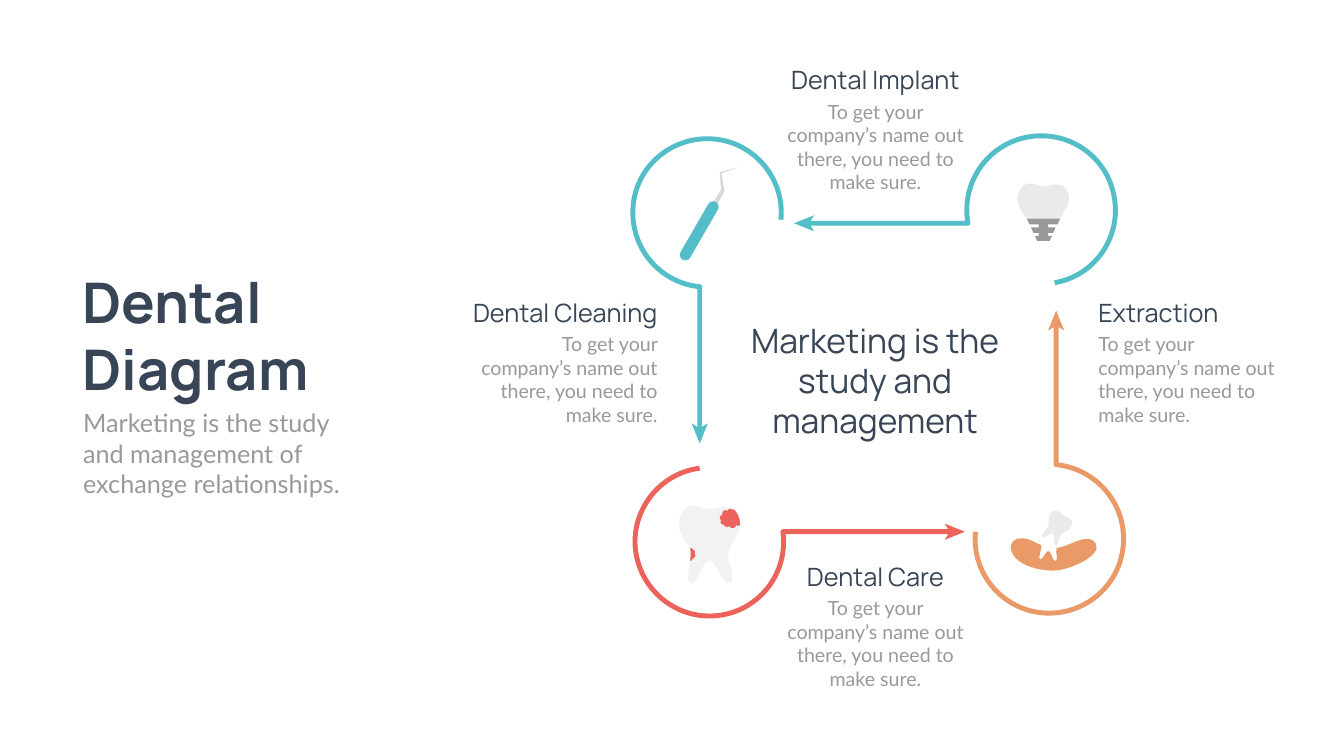
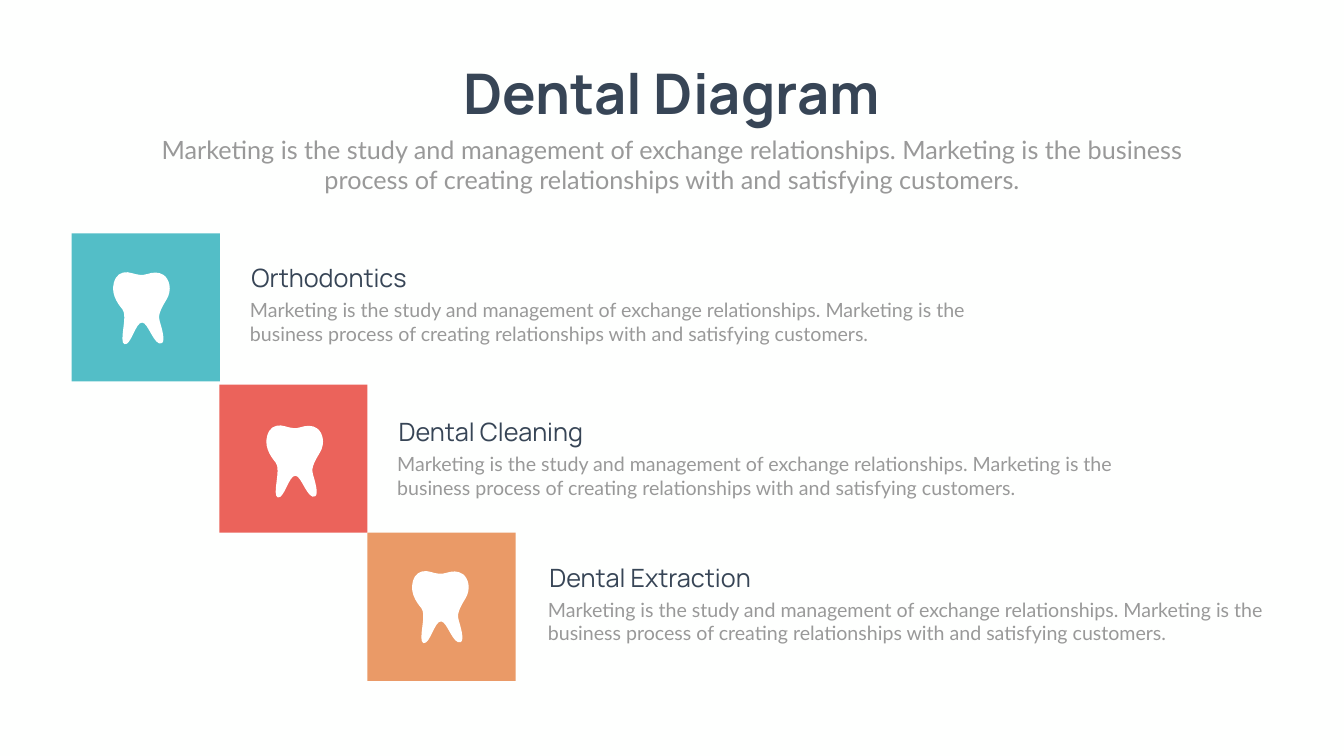
from pptx import Presentation
from pptx.dml.color import RGBColor
from pptx.enum.shapes import MSO_SHAPE as SHAPE
from pptx.enum.text import PP_ALIGN as ALIGN
from pptx.oxml.ns import qn
from pptx.util import Inches, Pt

TEAL, RED, ORANGE = "53BEC7", "EB635B", "EA9A67"
NAVY, GRAY, WHITE, PAPER = "374556", "999999", "FFFFFF", "FEFFFE"
HEADING_FONT, BODY_FONT = "Manrope", "Lato"

SHORT_TEXT = "To get your company’s name out there, you need to make sure."
LONG_TEXT = ("Marketing is the study and management of exchange relationships. "
             "Marketing is the business process of creating relationships "
             "with and satisfying customers.")

# Outlines: M starts, L draws lines, C draws curves (three points each), Z closes
LOOPS = [
    (TEAL, "M 15.49,4.36 C 15.57,3.56 14.98,2.84 14.18,2.76 13.37,2.68 12.64,3.26 12.56,4.07 "
           "12.48,4.89 13.07,5.61 13.88,5.69 L 13.88,8.52", (13.88, 8.8), (0, 1)),
    (RED, "M 13.88,9.29 C 13.08,9.39 12.5,10.14 12.61,10.94 12.72,11.74 13.46,12.32 14.27,12.21 "
          "15.08,12.1 15.64,11.36 15.53,10.55 L 18.86,10.55", (19.14, 10.55), (1, 0)),
    (ORANGE, "M 19.35,10.55 C 19.27,11.37 19.87,12.09 20.68,12.16 21.5,12.23 22.21,11.63 22.28,10.83 "
             "22.36,10.02 21.76,9.3 20.95,9.22 L 20.95,6.45", (20.95, 6.16), (0, -1)),
    (TEAL, "M 20.92,5.61 C 21.73,5.47 22.25,4.69 22.1,3.9 21.96,3.1 21.19,2.57 20.38,2.72 "
           "19.58,2.87 19.06,3.63 19.2,4.43 L 16.04,4.43", (15.75, 4.43), (-1, 0)),
]
PROBE_TIP = ("M 14.37,3.8 L 14.37,3.78 14.31,3.44 14.63,3.32 14.29,3.41 C 14.28,3.41 14.28,3.42 "
             "14.28,3.43 L 14.3,3.77 14.11,4.08 C 14.13,4.09 14.17,4.1 14.19,4.12 Z")
CARIES_TOP = (
    "M 14.49,10.09 C 14.5,10.09 14.52,10.09 14.53,10.11 L 14.54,10.1 14.56,10.11 "
    "C 14.62,10.16 14.68,10.27 14.68,10.4 L 14.68,10.42 14.67,10.43 "
    "C 14.65,10.44 14.62,10.44 14.61,10.43 14.6,10.46 14.57,10.48 14.55,10.49 "
    "14.51,10.49 14.48,10.48 14.46,10.45 14.42,10.48 14.36,10.46 14.34,10.41 "
    "14.31,10.42 14.29,10.4 14.28,10.37 14.28,10.35 14.28,10.33 14.29,10.32 "
    "14.28,10.31 14.27,10.29 14.27,10.26 14.27,10.24 14.29,10.22 14.31,10.21 "
    "14.31,10.19 14.32,10.16 14.33,10.14 14.36,10.11 14.4,10.1 14.43,10.13 "
    "L 14.44,10.11 C 14.45,10.1 14.47,10.09 14.49,10.09 Z")
CARIES_SIDE = (
    "M 13.72,10.87 C 13.72,10.87 13.73,10.87 13.73,10.88 13.74,10.88 13.75,10.89 13.76,10.91 "
    "L 13.77,10.91 C 13.78,10.92 13.78,10.93 13.79,10.94 13.79,10.95 13.79,10.97 13.79,10.98 "
    "13.8,10.99 13.8,11.01 13.8,11.03 13.79,11.06 13.77,11.08 13.75,11.08 "
    "13.75,11.09 13.74,11.11 13.73,11.12 13.72,11.13 13.71,11.13 13.7,11.13 "
    "L 13.69,11.12 C 13.7,11.03 13.71,10.94 13.69,10.89 L 13.69,10.88 "
    "C 13.7,10.87 13.71,10.87 13.72,10.87 Z")
# The decayed tooth runs along its crown, down the roots and up the left side
DECAYED_CROWN = (
    "M 13.74,10.04 C 13.78,10.03 13.83,10.04 13.89,10.06 13.97,10.09 14.11,10.11 14.19,10.09 "
    "14.33,10.05 14.44,10.04 14.54,10.1 L 14.53,10.11 "
    "C 14.51,10.08 14.47,10.08 14.44,10.11 L 14.44,10.13 "
    "C 14.4,10.11 14.36,10.11 14.34,10.14 14.32,10.16 14.32,10.19 14.32,10.21 "
    "14.29,10.22 14.28,10.24 14.27,10.26 14.27,10.28 14.28,10.31 14.3,10.32 "
    "14.29,10.33 14.28,10.35 14.29,10.37 14.29,10.4 14.32,10.41 14.34,10.41 "
    "14.37,10.46 14.42,10.47 14.47,10.45 14.48,10.48 14.52,10.49 14.55,10.48 "
    "14.58,10.47 14.6,10.45 14.61,10.42 14.62,10.44 14.65,10.44 14.67,10.43")
DECAYED_ROOTS = (
    "L 14.68,10.42 14.68,10.44 C 14.67,10.5 14.65,10.57 14.6,10.64 "
    "14.46,10.86 14.42,11 14.45,11.11 14.49,11.22 14.58,11.53 14.49,11.57 "
    "14.33,11.64 14.21,11.12 14.08,11.11 13.94,11.11 13.83,11.61 13.7,11.57 "
    "13.63,11.55 13.65,11.4 13.67,11.24 L 13.69,11.13 13.7,11.13")
DECAYED_SIDE = (
    "C 13.71,11.13 13.72,11.13 13.73,11.12 13.74,11.11 13.75,11.09 13.75,11.08 "
    "13.77,11.08 13.79,11.06 13.8,11.03 13.8,11.01 13.8,10.99 13.79,10.98 "
    "13.79,10.97 13.79,10.95 13.79,10.94 13.78,10.93 13.78,10.92 13.77,10.91 "
    "L 13.76,10.91 C 13.75,10.89 13.74,10.88 13.73,10.88 13.73,10.87 13.72,10.87 13.72,10.87 "
    "13.71,10.87 13.7,10.87 13.69,10.88 L 13.68,10.87 C 13.68,10.86 13.67,10.84 13.67,10.84 "
    "13.56,10.7 13.36,10.44 13.54,10.16 13.59,10.08 13.66,10.04 13.74,10.04 Z")
IMPLANT_CROWN = (
    "M 20.37,4.34 L 21.03,4.34 C 21.05,4.29 21.09,4.22 21.14,4.15 21.26,3.96 21.19,3.77 21.1,3.7 "
    "21.01,3.64 20.91,3.65 20.79,3.69 20.72,3.71 20.61,3.69 20.54,3.66 "
    "20.42,3.62 20.31,3.64 20.25,3.74 20.1,3.98 20.25,4.18 20.34,4.29 "
    "20.35,4.3 20.37,4.33 20.37,4.34 Z")
IMPLANT_THREADS = [
    "M 20.37,4.34 L 21.03,4.34 20.98,4.45 20.42,4.45 Z",
    "M 20.45,4.51 L 20.94,4.51 20.89,4.62 20.5,4.62 Z",
    "M 20.53,4.68 L 20.87,4.68 20.82,4.78 20.57,4.78 Z",
]
PULLED_TOOTH = (
    "M 20.9,10.14 C 20.95,10.12 21,10.14 21.04,10.18 21.06,10.21 21.1,10.24 21.14,10.25 "
    "21.2,10.27 21.24,10.29 21.26,10.33 21.28,10.38 21.26,10.48 21.17,10.53 "
    "21.07,10.57 21.03,10.61 21.02,10.66 21.01,10.7 20.98,10.83 20.94,10.82 "
    "20.87,10.81 20.94,10.61 20.89,10.58 20.84,10.55 20.7,10.71 20.67,10.66 "
    "20.63,10.62 20.81,10.47 20.8,10.4 20.8,10.33 20.78,10.2 20.9,10.14 Z")
GUM = (
    "M 21.74,10.79 C 21.61,10.55 21.23,10.82 21.03,10.86 21.01,10.86 20.99,10.86 20.96,10.87 "
    "20.95,10.9 20.95,10.92 20.95,10.95 20.96,10.99 20.98,11.12 20.94,11.13 "
    "20.88,11.15 20.85,10.94 20.8,10.93 20.75,10.92 20.68,11.12 20.63,11.1 "
    "20.58,11.07 20.67,10.89 20.66,10.82 20.52,10.76 20.41,10.68 20.28,10.68 "
    "20.08,10.67 20.04,10.81 20.05,10.88 20.1,11.2 20.59,11.33 20.92,11.32 "
    "21.21,11.31 21.86,11.03 21.74,10.79 Z")
# Placed relative to the corner of its square
TOOTH = (
    "M 0.88,0.88 C 0.95,0.77 1.08,0.75 1.2,0.79 1.29,0.82 1.41,0.84 1.49,0.81 "
    "1.62,0.77 1.73,0.76 1.83,0.83 1.93,0.9 2.01,1.11 1.88,1.32 "
    "1.75,1.53 1.71,1.65 1.75,1.75 1.78,1.85 1.87,2.14 1.79,2.18 "
    "1.64,2.25 1.52,1.77 1.4,1.77 1.27,1.76 1.18,2.23 1.05,2.2 "
    "0.93,2.16 1.12,1.64 1.01,1.51 0.91,1.39 0.73,1.15 0.88,0.88 Z")


def color(value):
    return RGBColor.from_string(value)


class Deck:
    def __init__(self):
        self.presentation = Presentation()
        self.presentation.slide_width = Inches(26.66)
        self.presentation.slide_height = Inches(15)
        self.slide = None

    def new_slide(self):
        self.slide = self.presentation.slides.add_slide(self.presentation.slide_layouts[6])
        background = self.slide.background.fill
        background.solid()
        background.fore_color.rgb = color(PAPER)

    def text(self, box, words, size, font=HEADING_FONT, ink=NAVY, align=ALIGN.LEFT, bold=False):
        frame = self.slide.shapes.add_textbox(*map(Inches, box)).text_frame
        frame.word_wrap = True
        paragraph = frame.paragraphs[0]
        paragraph.text = words
        paragraph.alignment = align
        paragraph.font.size, paragraph.font.name = Pt(size), font
        paragraph.font.bold, paragraph.font.color.rgb = bold, color(ink)

    def title(self, box, align=ALIGN.LEFT):
        self.text(box, "Dental Diagram", 80, align=align, bold=True)

    def body(self, box, words, size=28, align=ALIGN.LEFT):
        self.text(box, words, size, BODY_FONT, GRAY, align)

    def paint(self, shape, fill):
        shape.shadow.inherit = False
        shape.fill.solid()
        shape.fill.fore_color.rgb = color(fill)
        shape.line.fill.background()

    def block(self, box, fill, kind=SHAPE.RECTANGLE, rotation=0):
        shape = self.slide.shapes.add_shape(kind, *map(Inches, box))
        self.paint(shape, fill)
        shape.rotation = rotation
        return shape

    def outline(self, drawing, fill, left=0, top=0):
        """Draw an outline, turning each three points after C into one curve."""
        points, kinds = [], []
        for token in drawing.split():
            if token.isalpha():
                kind = token
            else:
                x, y = map(float, token.split(","))
                points.append((Inches(left + x), Inches(top + y)))
                kinds.append(kind)
        builder = self.slide.shapes.build_freeform(*points[0])
        builder.add_line_segments(points[1:], close=drawing.endswith("Z"))
        shape = builder.convert_to_shape()
        segments = iter(list(shape.element.iter(qn("a:lnTo"))))
        remaining = iter(kinds[1:])
        for kind, segment in zip(remaining, segments):
            if kind == "C":
                segment.tag = qn("a:cubicBezTo")
                for _ in range(2):
                    next(remaining)
                    extra = next(segments)
                    segment.append(extra[0])
                    extra.getparent().remove(extra)
        self.paint(shape, fill)
        return shape

    def loop(self, ink, drawing):
        shape = self.outline(drawing, ink)
        shape.fill.background()
        shape.line.color.rgb = color(ink)
        shape.line.width = Pt(7)

    def arrowhead(self, fill, tip, direction):
        (x, y), (dx, dy) = tip, direction
        corners = [(0, 0), (0.4, 0.16), (0.3, 0), (0.4, -0.16)]
        places = [f"{x - dx * back - dy * side:.2f},{y - dy * back + dx * side:.2f}"
                  for back, side in corners]
        self.outline(f"M {places[0]} L {' '.join(places[1:])} Z", fill)


def cycle_slide(deck):
    deck.new_slide()

    # Loops with arrows
    for ink, drawing, tip, direction in LOOPS:
        deck.loop(ink, drawing)
        deck.arrowhead(ink, tip, direction)

    # Step captions
    for heading, left, width, body_left, top, align in [
        ("Dental Cleaning", 8.4, 4.74, 9.39, 5.84, ALIGN.RIGHT),
        ("Extraction", 21.69, 3.43, 21.69, 5.84, ALIGN.LEFT),
        ("Dental Implant", 15.29, 4.15, 15.49, 1.23, ALIGN.CENTER),
        ("Dental Care", 15.29, 4.15, 15.49, 11.08, ALIGN.CENTER),
    ]:
        deck.text((left, top, width, 0.71), heading, 36, align=align)
        deck.body((body_left, top + 0.7, 3.75, 1.99), SHORT_TEXT, align=align)

    # Probe
    deck.outline(PROBE_TIP, "D8D8D8")
    handle = deck.block((13.76, 3.92, 0.22, 1.32), TEAL, SHAPE.ROUNDED_RECTANGLE, 30)
    handle.adjustments[0] = 0.5

    # Decayed tooth
    deck.outline(CARIES_TOP, RED)
    deck.outline(CARIES_SIDE, RED)
    deck.outline(" ".join([DECAYED_CROWN, DECAYED_ROOTS, DECAYED_SIDE]), "F2F2F2")

    # Implant
    deck.outline(IMPLANT_CROWN, "EAEAEA")
    for thread in IMPLANT_THREADS:
        deck.outline(thread, GRAY)
    deck.block((20.6, 4.41, 0.19, 0.35), GRAY)

    # Extraction
    deck.outline(PULLED_TOOTH, "EAEAEA")
    deck.outline(GUM, ORANGE)

    # Title and centre statement
    deck.title((1.54, 5.25, 5.89, 2.79))
    deck.body((1.55, 8.04, 5.89, 1.92),
              "Marketing is the study and management of exchange relationships.", 36)
    deck.text((14.51, 6.29, 5.7, 2.52), "Marketing is the study and management", 48,
              align=ALIGN.CENTER)


def staircase_slide(deck):
    deck.new_slide()
    deck.title((8.65, 1.12, 9.35, 1.45), ALIGN.CENTER)
    deck.body((2.92, 2.61, 20.82, 1.31), LONG_TEXT, 36, ALIGN.CENTER)

    # Steps: square, tooth and caption
    for heading, fill, left, top, tooth, caption in [
        ("Orthodontics", TEAL, 1.42, 4.63, (1.42, 4.63), (4.86, 5.16)),
        ("Dental Cleaning", RED, 4.35, 7.63, (4.46, 7.67), (7.78, 8.21)),
        ("Dental Extraction", ORANGE, 7.29, 10.57, (7.35, 10.56), (10.77, 11.1)),
    ]:
        deck.block((left, top, 2.94, 2.94), fill)
        deck.outline(TOOTH, WHITE, *tooth)
        text_left, text_top = caption
        deck.text((text_left + 0.03, text_top, 5.33, 0.71), heading, 36)
        deck.body((text_left, text_top + 0.71, 14.47, 1.04), LONG_TEXT)


def main():
    deck = Deck()
    cycle_slide(deck)
    staircase_slide(deck)
    deck.presentation.save("out.pptx")


if __name__ == "__main__":
    main()
